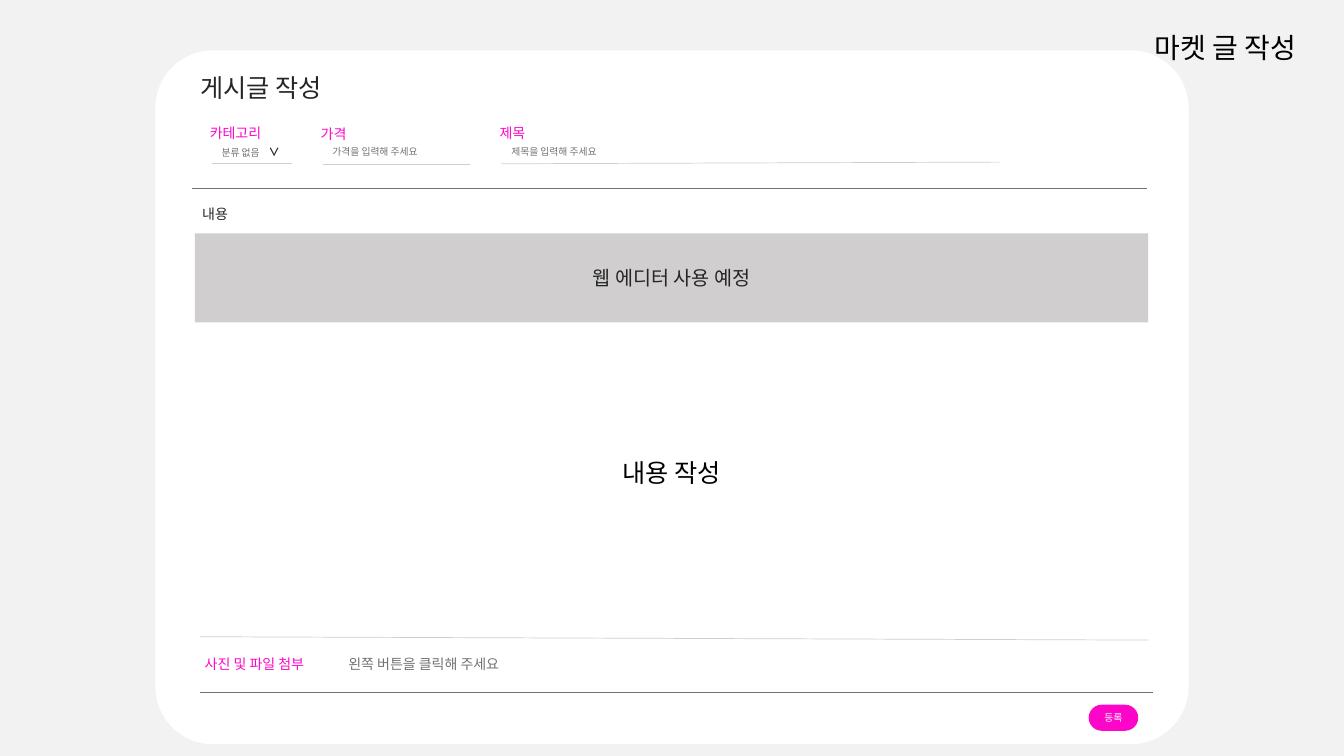
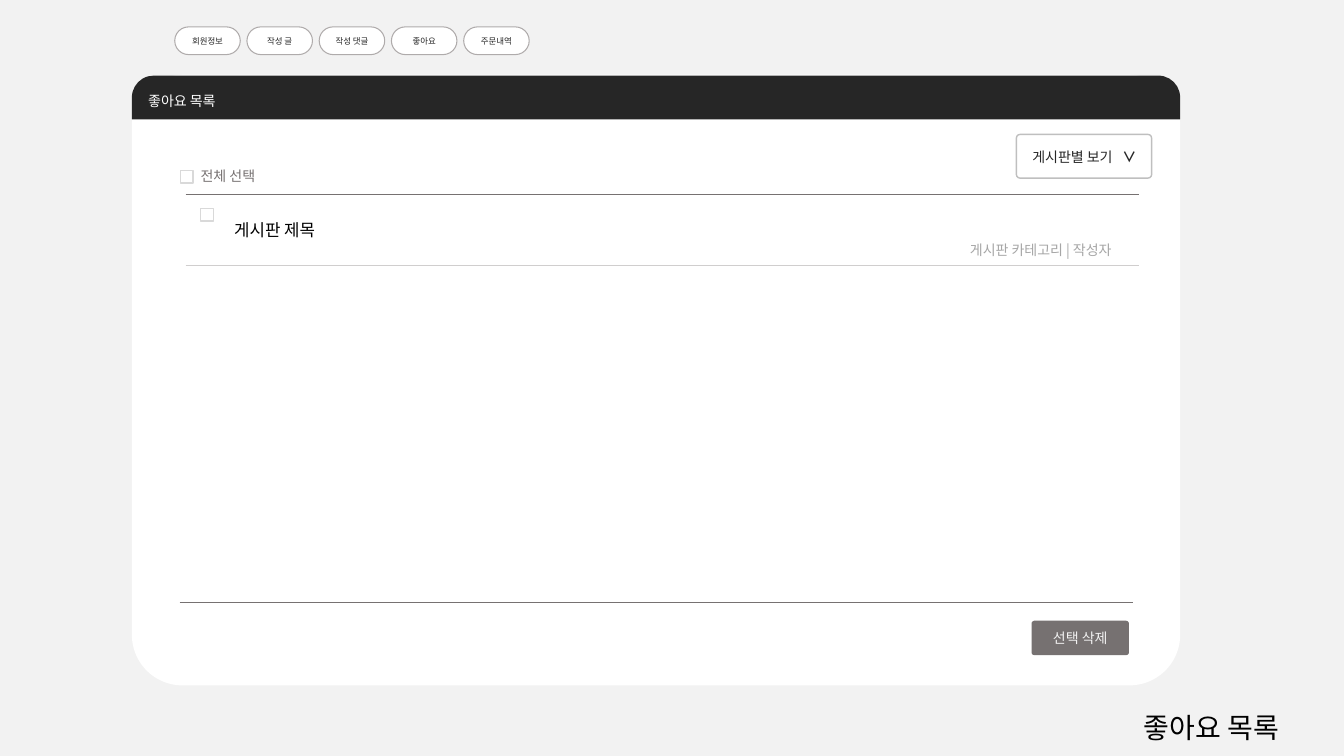
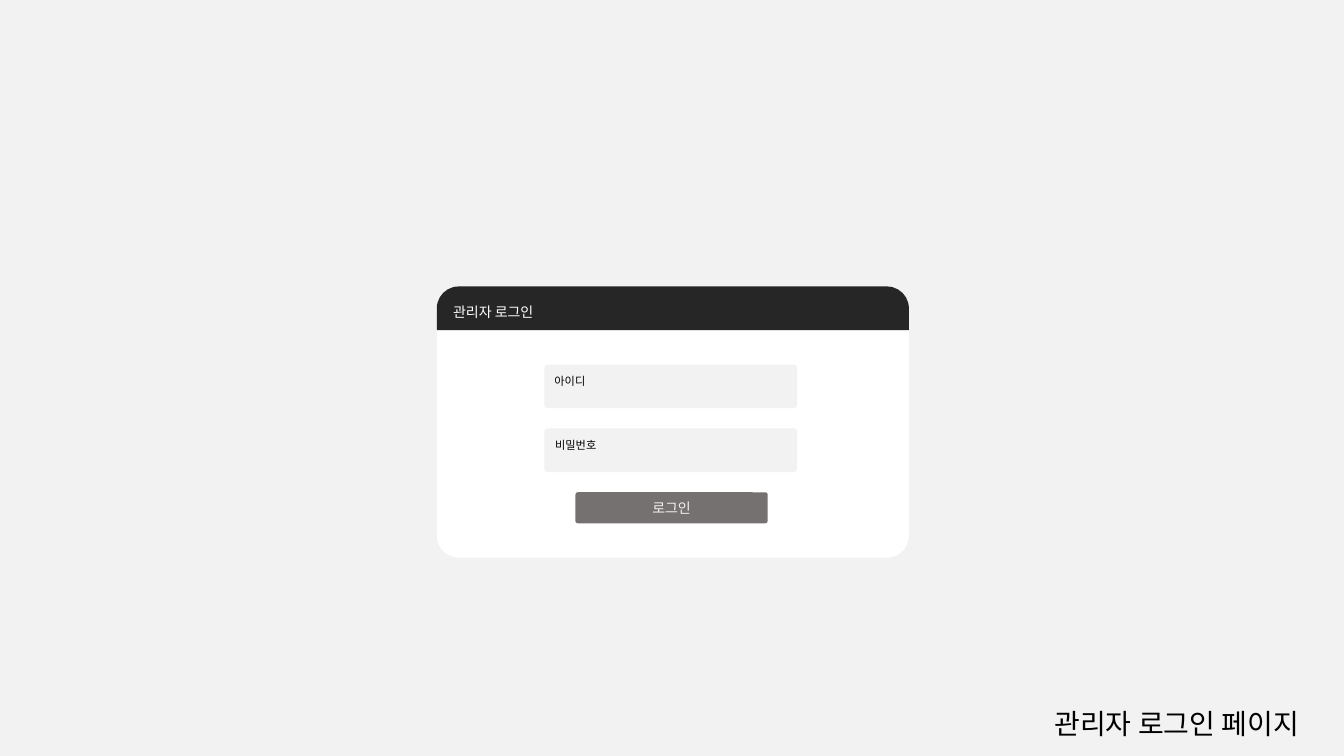
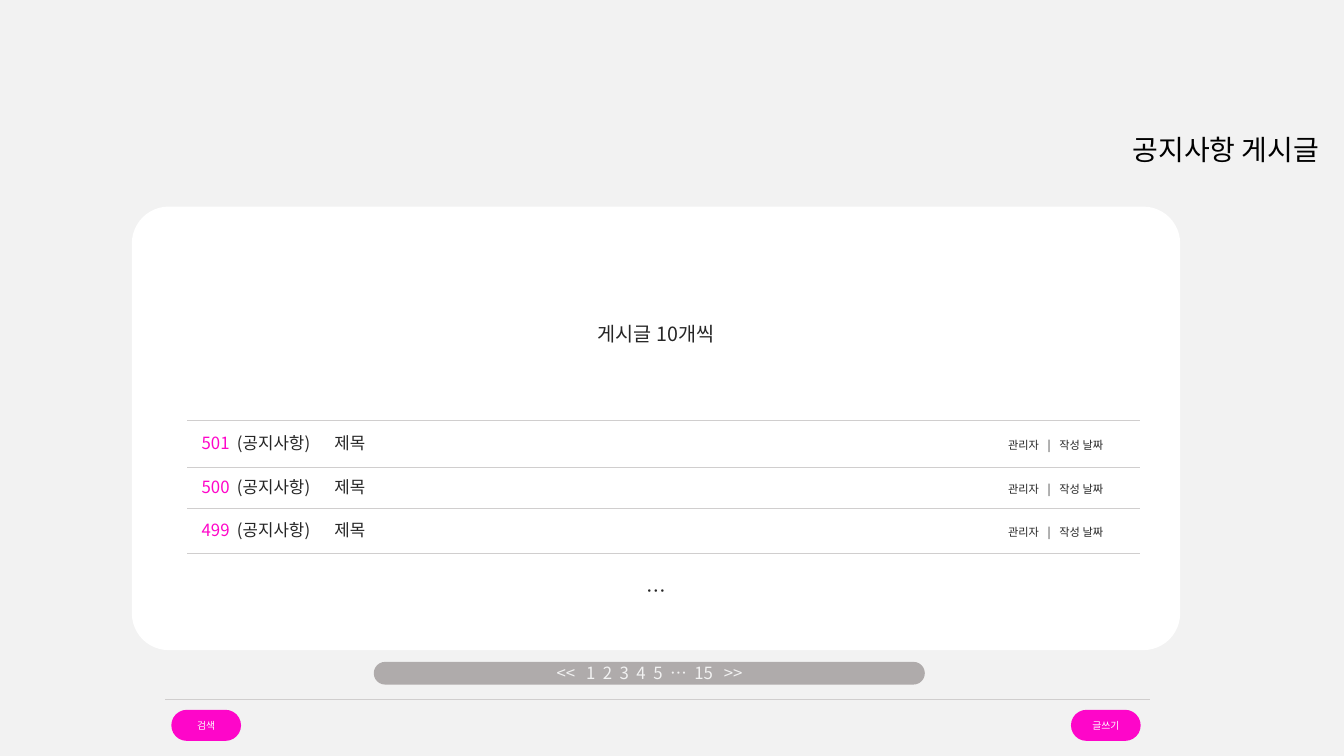
from dataclasses import dataclass

from lxml import etree
from pptx import Presentation
from pptx import util as u
from pptx.dml.color import RGBColor
from pptx.enum import shapes, text
from pptx.oxml.ns import qn


@dataclass(frozen=True)
class Theme:
    font: str = "Noto Sans CJK KR"
    page: str = "F2F2F2"
    white: str = "FFFFFF"
    black: str = "000000"
    dark: str = "262626"
    pink: str = "FE06C9"
    gray: str = "767171"
    mid: str = "AFABAB"
    meta: str = "A6A6A6"
    frame: str = "BFBFBF"
    check: str = "D9D9D9"
    rule: str = "D0CECE"
    title: int = 20
    head: int = 18
    lead: int = 14
    row: int = 12
    body: int = 10
    small: int = 8
    hint: int = 7
    tiny: int = 6
    corner: float = 0.083


T = Theme()
ROUND = shapes.MSO_SHAPE.ROUNDED_RECTANGLE
HEADER = shapes.MSO_SHAPE.ROUND_2_SAME_RECTANGLE
RECT = shapes.MSO_SHAPE.RECTANGLE
LEFT, CENTER = text.PP_ALIGN.LEFT, text.PP_ALIGN.CENTER
TOP, MIDDLE = text.MSO_ANCHOR.TOP, text.MSO_ANCHOR.MIDDLE

prs = Presentation()
prs.slide_width, prs.slide_height = u.Inches(13.33), u.Inches(7.5)
COL, ROW = prs.slide_width / 160, prs.slide_height / 90


def box(s, at, runs=(), kind=None, adj=(), fill=None, line=None, weight=1,
        align=LEFT, anchor=MIDDLE, tabs=()):
    x, y, w, h = at
    place = [int(v) for v in (x * COL, y * ROW, w * COL, h * ROW)]
    if kind is None:
        sp = s.shapes.add_textbox(*place)
        anchor = TOP
    else:
        sp = s.shapes.add_shape(kind, *place)
        sp.shadow.inherit = False
        for i, value in enumerate(adj):
            sp.adjustments[i] = value
        for part, color in ((sp.fill, fill), (sp.line.fill, line)):
            if color:
                part.solid()
                part.fore_color.rgb = RGBColor.from_string(color)
            else:
                part.background()
        if line:
            sp.line.width = u.Pt(weight)
    tf = sp.text_frame
    for name, value in {"word_wrap": True, "vertical_anchor": anchor}.items():
        setattr(tf, name, value)
    p = tf.paragraphs[0]
    p.alignment = align
    if tabs:
        stops = etree.SubElement(p._p.get_or_add_pPr(), qn("a:tabLst"))
        for stop in tabs:
            etree.SubElement(stops, qn("a:tab"), pos=str(int(stop * COL)), algn="l")
    for words, size, color, *bold in runs:
        r = p.add_run()
        r.text = words
        r.font.color.rgb = RGBColor.from_string(color)
        for name, value in {"size": u.Pt(size), "name": T.font, "bold": bool(bold)}.items():
            setattr(r.font, name, value)
        etree.SubElement(r._r.get_or_add_rPr(), qn("a:ea"), typeface=T.font)
    return sp


def rule(s, x1, y1, x2, y2, color=T.rule):
    ends = [int(v) for v in (x1 * COL, y1 * ROW, x2 * COL, y2 * ROW)]
    c = s.shapes.add_connector(shapes.MSO_CONNECTOR.STRAIGHT, *ends)
    c.line.color.rgb = RGBColor.from_string(color)
    c.line.width = u.Pt(0.5)
    etree.SubElement(c._element.spPr, qn("a:effectLst"))


bg = prs.slide_master.background.fill
bg.solid()
bg.fore_color.rgb = RGBColor.from_string(T.page)
write, likes, login, notices = [prs.slides.add_slide(prs.slide_layouts[6]) for _ in range(4)]

card = dict(kind=ROUND, adj=[T.corner], fill=T.white)
header = dict(kind=HEADER, adj=[0.5, 0], fill=T.dark)
pill = dict(kind=ROUND, adj=[0.5], fill=T.pink, align=CENTER)
button = dict(kind=ROUND, adj=[T.corner], fill=T.gray, align=CENTER)
clear = dict(kind=ROUND, adj=[T.corner])

s = write
box(s, (18.5, 6, 123, 82.6), **card)
rule(s, 22.9, 22.4, 136.5, 22.4, T.gray)
rule(s, 23.8, 82.4, 137.3, 82.4, T.gray)
rule(s, 23.8, 75.8, 136.7, 76.2)
box(s, (129.6, 83.9, 5.9, 3.1), [("등록", T.hint, T.white)], **pill)
box(s, (23.2, 27.8, 113.5, 10.6), [("웹 에디터 사용 예정", T.lead, T.dark)],
    kind=RECT, fill=T.rule, align=CENTER)
box(s, (22.9, 23.9, 9.8, 3.2), [("내용", T.body, T.dark)])
box(s, (22.7, 8, 19.3, 4.8), [("게시글 작성", T.head, T.dark)])
box(s, (49.4, 53.8, 61.1, 4.8), [("내용 작성", T.head, T.black)], align=CENTER)
box(s, (23.2, 77.5, 113.5, 3),
    [("사진 및 파일 첨부\t", T.body, T.pink), ("왼쪽 버튼을 클릭해 주세요", T.body, T.gray)],
    kind=RECT, tabs=[17.1])

fields = [
    (23.8, 14.2, 34.8, 19.5, "카테고리", [("분류 없음\t", T.hint, T.gray), ("∨", T.small, T.dark, True)]),
    (37, 14.3, 56, 19.6, "가격", [("가격을 입력해 주세요", T.hint, T.gray)]),
    (58.3, 14.2, 119, 19.3, "제목", [("제목을 입력해 주세요", T.hint, T.gray)]),
]
for x, y, x2, y2, label, hint in fields:
    box(s, (x, y, 9.8, 3.2), [(label, T.body, T.pink)])
    rule(s, x + 1.4, y + 5.3, x2, y2)
    box(s, (x + 1.4, y + 2.5, 15.8, 2.7), hint, tabs=[5.6])

s = likes
box(s, (15.7, 8.9, 124.8, 72.7), **card)
box(s, (15.7, 9, 124.8, 5.2), [("좋아요 목록", T.body, T.white)], **header)
box(s, (122.8, 73.9, 11.6, 4.1), [("선택 삭제", T.body, T.page)], **button)
box(s, (121.6, 16.1, 16.3, 5.2),
    [("게시판별 보기\t", T.body, T.dark), ("∨", T.body, T.dark, True)], tabs=[10.7], **clear)
box(s, (121, 16, 16.1, 5.2), line=T.frame, **clear)
for x, y, color in ((22.1, 23.2, T.gray), (21.4, 71.7, T.gray), (22.1, 31.6, T.rule)):
    rule(s, x, y, x + 113.5, y, color)
for x, y in ((23.9, 24.8), (21.5, 20.3)):
    box(s, (x, y, 1.5, 1.5), kind=RECT, fill=T.white, line=T.check)
box(s, (114.3, 28.2, 22.7, 3.2), [("게시판 카테고리 | 작성자", T.body, T.meta)])
box(s, (26.7, 25.6, 19.1, 3.6), [("게시판 제목", T.row, T.black)])
box(s, (22.7, 19.3, 10.6, 3.2), [("전체 선택", T.body, T.gray)])
for i, name in enumerate(["회원정보", "작성 글", "작성 댓글", "좋아요", "주문내역"]):
    box(s, (20.8 + 8.6 * i, 3.2, 7.8, 3.3), [(name, T.tiny, T.dark)],
        **{**pill, "fill": T.white, "line": T.mid, "weight": 0.75})

s = login
box(s, (52, 34.2, 56.2, 32.2), **card)
box(s, (52, 34.1, 56.2, 5.2), [("관리자 로그인", T.body, T.white)], **header)
for y, x, w, name in ((43.4, 64.3, 7.1, "아이디"), (51, 64.6, 7.9, "비밀번호")):
    box(s, (64.8, y, 30.1, 5.2), **{**card, "fill": T.page})
    box(s, (x, y + 0.55, w, 2.9), [(name, T.small, T.black)], align=CENTER)
box(s, (68.5, 58.6, 22.9, 3.7), [("로그인", T.body, T.page)], **button)

s = notices
box(s, (15.7, 24.6, 124.8, 52.8), **card)
for y, words in ((37.2, "게시글 10개씩"), (67.8, "…")):
    box(s, (15.7, y, 124.8, 5), [(words, T.lead, T.dark)], kind=RECT, align=CENTER)
for i, number in enumerate(["501", "500", "499"]):
    box(s, (22.7, 50 + 5.17 * i, 110.9, 5.5),
        [(number, T.row, T.pink), ("\t(공지사항)\t제목\t", T.row, T.dark),
         ("관리자\t|\t작성 날짜", T.small, T.dark)],
        tabs=[4.2, 15.8, 96, 100.7, 102.1], **clear)
for y in (50, 55.6, 60.5, 65.9):
    rule(s, 22.3, y, 135.7, y)
box(s, (44.5, 78.8, 65.6, 2.7), [("\t<<\t1\t2\t3\t4\t5\t…\t15\t>>", T.row, T.page)],
    tabs=[20.2, 23.7, 25.7, 27.7, 29.7, 31.7, 33.7, 36.6, 40.1],
    **{**pill, "fill": T.mid, "align": LEFT})
rule(s, 19.7, 83.3, 136.9, 83.3)
for x, name in ((20.4, "검색"), (127.5, "글쓰기")):
    box(s, (x, 84.5, 8.3, 3.7), [(name, T.hint, T.white)], **pill)

titles = [
    (write, 129.6, 3.1, 32.6, "마켓 글 작성"),
    (likes, 130.3, 84, 27.8, "좋아요 목록"),
    (login, 118.7, 83.5, 42.8, "관리자 로그인 페이지"),
    (notices, 128.5, 15.2, 34.9, "공지사항 게시글"),
]
for s, x, y, w, words in titles:
    box(s, (x, y, w, 5.3), [(words, T.title, T.black)], align=CENTER)

prs.save("out.pptx")
